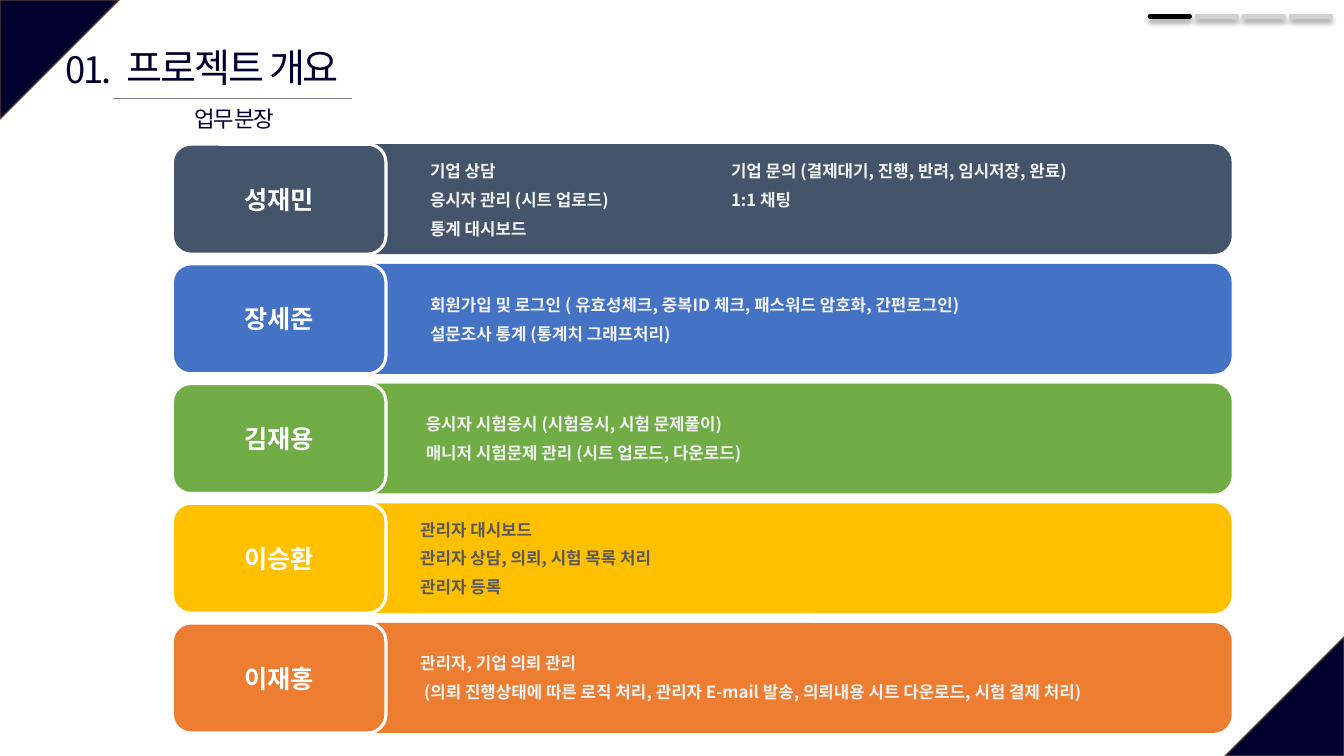
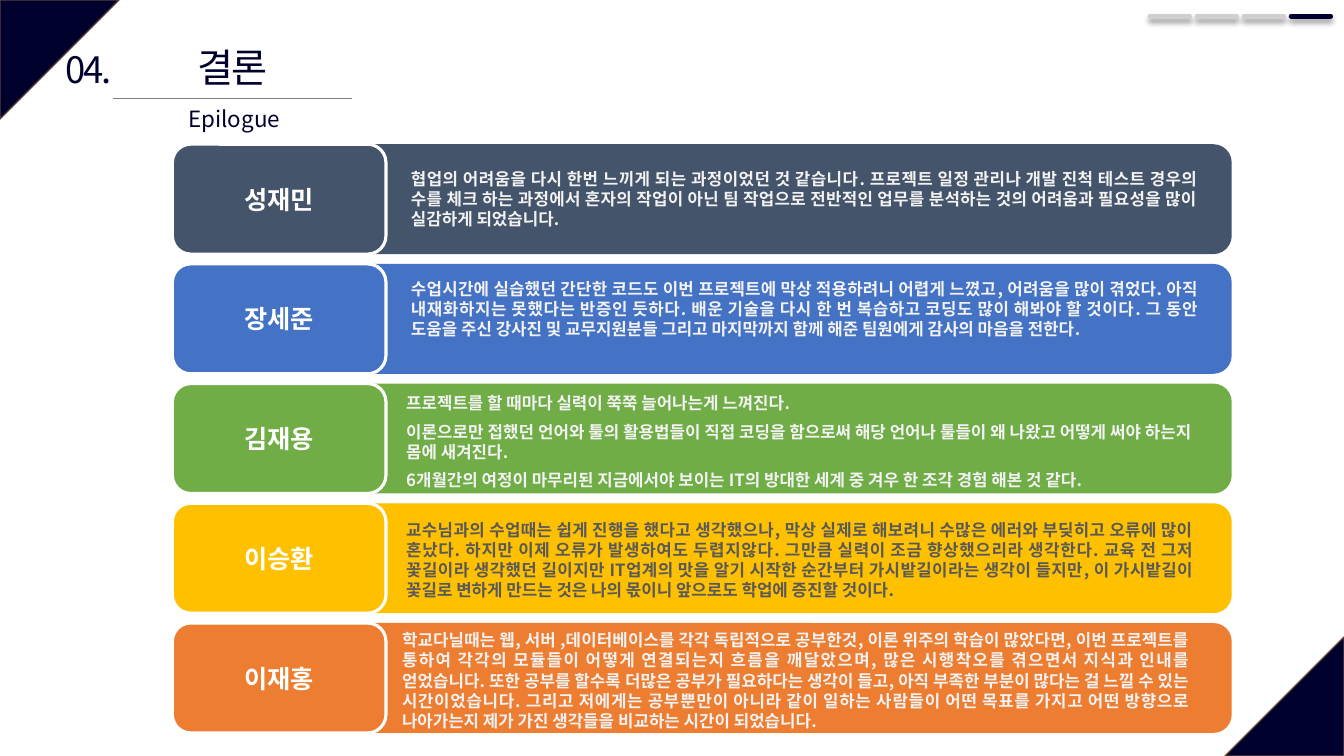
from collections import namedtuple
from dataclasses import dataclass

from lxml import etree
from pptx import Presentation
from pptx.dml.color import RGBColor
from pptx.enum import shapes, text
from pptx.oxml import ns
from pptx.util import Pt

Box = namedtuple("Box", "left top width height")
Member = namedtuple("Member", "name fill ink")
Note = namedtuple("Note", "left top lines")  # left and top count from the row's corner


@dataclass(frozen=True)
class Theme:
    font: str = "Noto Sans CJK KR"
    navy: str = "00002F"
    corner_edge: str = "5B3F33"
    rule: str = "808080"
    black: str = "000000"
    idle: str = "D0CECE"
    white: str = "FFFFFF"
    light_ink: str = "F2F2F2"
    dark_ink: str = "595959"
    title_size: float = 28
    number_size: float = 26
    subtitle_size: float = 16
    name_size: float = 18
    note_size: float = 12
    tight: float = -1.5


THEME = Theme()
PAGE = Box(0, 0, 960, 540)
HEADER = Box(37.5, 27.4, 220, 70)
PROGRESS = Box(821.5, 11.5, 28.2, 0)
PROGRESS_PITCH = 33.6
ROSTER = Box(123.1, 103, 756.7, 78.5)  # first row
ROW_PITCH = 85.5
NAME_WIDTH = 152.6
NOTE_WIDTH = 576
SECOND_COLUMN = 215
CORNER = 85

MEMBERS = [
    Member("성재민", "44546A", THEME.light_ink),
    Member("장세준", "4472C4", THEME.light_ink),
    Member("김재용", "70AD47", THEME.light_ink),
    Member("이승환", "FFC000", THEME.dark_ink),
    Member("이재홍", "ED7D31", THEME.light_ink),
]

DUTIES = [
    Note(177, 8.6, ["기업 상담\t기업 문의 (결제대기, 진행, 반려, 임시저장, 완료)",
                    "응시자 관리 (시트 업로드)\t1:1 채팅",
                    "통계 대시보드"]),
    Note(177, 18.7, ["회원가입 및 로그인 ( 유효성체크, 중복ID 체크, 패스워드 암호화, 간편로그인)",
                     "설문조사 통계 (통계치 그래프처리)"]),
    Note(174, 18, ["응시자 시험응시 (시험응시, 시험 문제풀이)",
                   "매니저 시험문제 관리 (시트 업로드, 다운로드)"]),
    Note(170, 8, ["관리자 대시보드",
                  "관리자 상담, 의뢰, 시험 목록 처리",
                  "관리자 등록"]),
    Note(170, 18, ["관리자, 기업 의뢰 관리",
                   " (의뢰 진행상태에 따른 로직 처리, 관리자 E-mail 발송, "
                   "의뢰내용 시트 다운로드, 시험 결제 처리)"]),
]

REFLECTIONS = [
    Note(163.4, 13.7, [
        "협업의 어려움을 다시 한번 느끼게 되는 과정이었던 것 같습니다. 프로젝트 일정 관리나 개발 진척 "
        "테스트 경우의 수를 체크 하는 과정에서 혼자의 작업이 아닌 팀 작업으로 전반적인 업무를 분석하는 "
        "것의 어려움과 필요성을 많이 실감하게 되었습니다."]),
    Note(163.4, 7, [
        "수업시간에 실습했던 간단한 코드도 이번 프로젝트에 막상 적용하려니 어렵게 느꼈고, 어려움을 많이 "
        "겪었다. 아직 내재화하지는 못했다는 반증인 듯하다. 배운 기술을 다시 한 번 복습하고 코딩도 많이 "
        "해봐야 할 것이다. 그 동안 도움을 주신 강사진 및 교무지원분들 그리고 마지막까지 함께 해준 "
        "팀원에게 감사의 마음을 전한다."]),
    Note(160, 3, [
        "프로젝트를 할 때마다 실력이 쭉쭉 늘어나는게 느껴진다.",
        "이론으로만 접했던 언어와 툴의 활용법들이 직접 코딩을 함으로써 해당 언어나 툴들이 왜 나왔고 "
        "어떻게 써야 하는지 몸에 새겨진다.",
        "6개월간의 여정이 마무리된 지금에서야 보이는 IT의 방대한 세계 중 겨우 한 조각 경험 해본 것 같다."]),
    Note(160, 8, [
        "교수님과의 수업때는 쉽게 진행을 했다고 생각했으나, 막상 실제로 해보려니 수많은 에러와 부딪히고 "
        "오류에 많이 혼났다. 하지만 이제 오류가 발생하여도 두렵지않다. 그만큼 실력이 조금 향상했으리라 "
        "생각한다. 교육 전 그저 꽃길이라 생각했던 길이지만 IT업계의 맛을 알기 시작한 순간부터 "
        "가시밭길이라는 생각이 들지만, 이 가시밭길이 꽃길로 변하게 만드는 것은 나의 몫이니 앞으로도 "
        "학업에 증진할 것이다."]),
    Note(157, 1.4, [
        "학교다닐때는 웹, 서버 ,데이터베이스를 각각 독립적으로 공부한것, 이론 위주의 학습이 많았다면, "
        "이번 프로젝트를 통하여 각각의 모듈들이 어떻게 연결되는지 흐름을 깨달았으며, 많은 시행착오를 "
        "겪으면서 지식과 인내를 얻었습니다. 또한 공부를 할수록 더많은 공부가 필요하다는 생각이 들고, "
        "아직 부족한 부분이 많다는 걸 느낄 수 있는 시간이었습니다. 그리고 저에게는 공부뿐만이 아니라 "
        "같이 일하는 사람들이 어떤 목표를 가지고 어떤 방향으로 나아가는지 제가 가진 생각들을 비교하는 "
        "시간이 되었습니다."]),
]


def points(box):
    return [Pt(value) for value in box]


def add_xml(parent, tag, **attributes):
    return etree.SubElement(parent, ns.qn(tag), attributes)


def write(frame, lines, size, color, align, bold=False, spacing=0, after=0):
    for index, line in enumerate(lines):
        para = frame.paragraphs[0] if index == 0 else frame.add_paragraph()
        layout = {"alignment": align, "space_before": Pt(0), "space_after": Pt(after)}
        for key, value in layout.items():
            setattr(para, key, value)
        if "\t" in line:
            tabs = add_xml(para._p.get_or_add_pPr(), "a:tabLst")
            add_xml(tabs, "a:tab", pos=str(Pt(SECOND_COLUMN)), algn="l")
        span = para.add_run()
        span.text = line
        for key, value in {"size": Pt(size), "bold": bold, "name": THEME.font}.items():
            setattr(span.font, key, value)
        span.font.color.rgb = RGBColor.from_string(color)
        props = span._r.get_or_add_rPr()
        add_xml(props, "a:ea", typeface=THEME.font)
        if spacing:
            props.set("spc", str(round(spacing * 100)))


def set_frame(frame, wrap):
    settings = {"word_wrap": wrap, "auto_size": text.MSO_AUTO_SIZE.NONE,
                "vertical_anchor": text.MSO_ANCHOR.TOP}
    settings.update(margin_left=Pt(7.2), margin_right=Pt(7.2),
                    margin_top=Pt(3.6), margin_bottom=Pt(3.6))
    for key, value in settings.items():
        setattr(frame, key, value)
    return frame


def add_text(page, box, wrap=False):
    return set_frame(page.shapes.add_textbox(*points(box)).text_frame, wrap)


def add_block(page, kind, box, fill, edge=None, edge_width=1):
    block = page.shapes.add_shape(kind, *points(box))
    block.shadow.inherit = False
    block.fill.solid()
    block.fill.fore_color.rgb = RGBColor.from_string(fill)
    if edge:
        block.line.color.rgb = RGBColor.from_string(edge)
        block.line.width = Pt(edge_width)
    else:
        block.line.fill.background()
    return block


def add_rule(page, left, top, width, color, weight):
    """Draw a level line and return it with its empty effect list."""
    rule = page.shapes.add_connector(shapes.MSO_CONNECTOR.STRAIGHT,
                                     Pt(left), Pt(top), Pt(left + width), Pt(top))
    rule.line.color.rgb = RGBColor.from_string(color)
    rule.line.width = Pt(weight)
    return rule, add_xml(rule.element.spPr, "a:effectLst")


def add_corners(page, layout):
    """Put the two corner triangles on the layout, for every page that uses it."""
    spots = {90: (0, 0), 270: (PAGE.width - CORNER, PAGE.height - CORNER)}
    for rotation, (left, top) in spots.items():
        corner = add_block(page, shapes.MSO_SHAPE.ISOSCELES_TRIANGLE,
                           Box(left, top, CORNER, CORNER), THEME.navy, THEME.corner_edge)
        corner.adjustments[0] = 0
        corner.rotation = rotation
        layout.shapes.element.append(corner.element)


def add_header(page, box, number, title, subtitle, subtitle_spacing):
    add_rule(page, box.left + 43.1, box.top + 43.2, 170.7, THEME.rule, 0.5)
    holder = page.shapes.title
    place = Box(box.left + 38.1, box.top, 181.4, 41)
    for key, value in zip(Box._fields, points(place)):
        setattr(holder, key, value)
    center = text.PP_ALIGN.CENTER
    write(set_frame(holder.text_frame, False), [title], THEME.title_size, THEME.navy,
          center, spacing=THEME.tight)
    write(add_text(page, Box(box.left, box.top + 2.8, 51.8, 38.9)), [number],
          THEME.number_size, THEME.navy, center, spacing=THEME.tight)
    write(add_text(page, Box(box.left + 84.2, box.top + 43.9, 91.4, 26.6)), [subtitle],
          THEME.subtitle_size, THEME.navy, center, spacing=subtitle_spacing)


def add_progress(page, box, current, color, steps=4):
    for step in range(steps):
        rule, effects = add_rule(page, box.left + step * PROGRESS_PITCH, box.top, box.width,
                                 color if step == current else THEME.idle, 3.5)
        rule.line._get_or_add_ln().set("cap", "rnd")
        shadow = add_xml(effects, "a:outerShdw", blurRad=str(Pt(4)), dist=str(Pt(3)),
                         dir="5400000", algn="t", rotWithShape="0")
        add_xml(add_xml(shadow, "a:srgbClr", val=THEME.black), "a:alpha", val="40000")


def add_row(page, box, member, note):
    rounded = shapes.MSO_SHAPE.ROUNDED_RECTANGLE
    add_block(page, rounded, box, member.fill)
    label = add_block(page, rounded, box._replace(width=NAME_WIDTH), member.fill,
                      THEME.white, 2.25)
    label.text_frame.vertical_anchor = text.MSO_ANCHOR.MIDDLE
    write(label.text_frame, [member.name], THEME.name_size, THEME.white,
          text.PP_ALIGN.CENTER, bold=True)
    place = Box(box.left + note.left, box.top + note.top, NOTE_WIDTH, box.height - 2 * note.top)
    write(add_text(page, place, wrap=True), note.lines, THEME.note_size, member.ink,
          text.PP_ALIGN.JUSTIFY, bold=True, after=6)


def add_roster(page, box, notes):
    for index, (member, note) in enumerate(zip(MEMBERS, notes)):
        add_row(page, box._replace(top=box.top + index * ROW_PITCH), member, note)


def main():
    deck = Presentation()
    deck.slide_width, deck.slide_height = Pt(PAGE.width), Pt(PAGE.height)
    layout = deck.slide_layouts[5]
    contents = [
        (("01.", "프로젝트 개요", "업무 분장", THEME.tight), (0, THEME.black), DUTIES),
        (("04.", "결론", "Epilogue", 0), (3, THEME.navy), REFLECTIONS),
    ]
    for index, (heading, progress, notes) in enumerate(contents):
        page = deck.slides.add_slide(layout)
        if index == 0:
            add_corners(page, layout)
        add_header(page, HEADER, *heading)
        add_progress(page, PROGRESS, *progress)
        add_roster(page, ROSTER, notes)
    deck.save("out.pptx")


if __name__ == "__main__":
    main()
